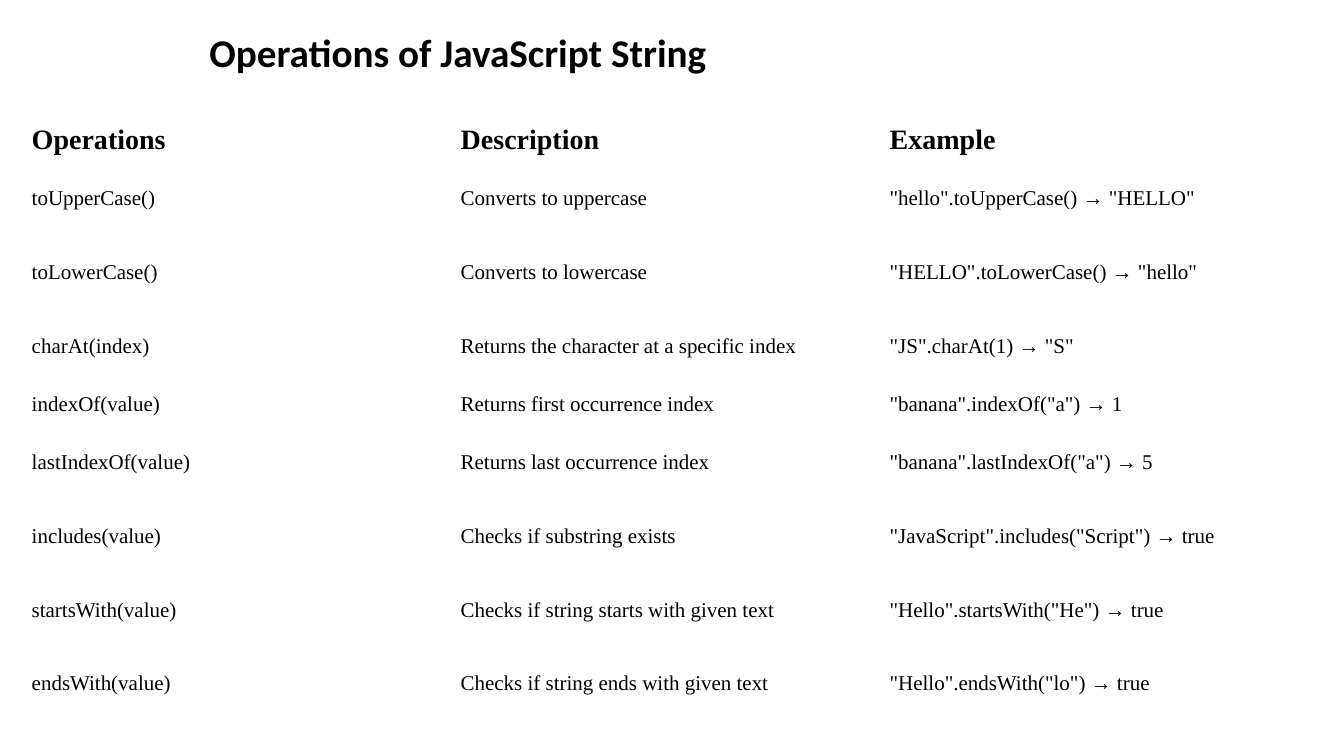
from pptx import Presentation
from pptx.dml.color import RGBColor
from pptx.enum import text
from pptx.util import Cm, Pt

TITLE = "Operations of JavaScript String"
HEADER = ("Operations", "Description", "Example")
OPERATIONS = [
    ("toUpperCase()", "Converts to uppercase", '"hello".toUpperCase() → "HELLO"'),
    ("toLowerCase()", "Converts to lowercase", '"HELLO".toLowerCase() → "hello"'),
    ("charAt(index)", "Returns the character at a specific index", '"JS".charAt(1) → "S"'),
    ("indexOf(value)", "Returns first occurrence index", '"banana".indexOf("a") → 1'),
    ("lastIndexOf(value)", "Returns last occurrence index", '"banana".lastIndexOf("a") → 5'),
    ("includes(value)", "Checks if substring exists", '"JavaScript".includes("Script") → true'),
    ("startsWith(value)", "Checks if string starts with given text", '"Hello".startsWith("He") → true'),
    ("endsWith(value)", "Checks if string ends with given text", '"Hello".endsWith("lo") → true'),
]
COLORS = {"text": "000000"}
COLUMN_WIDTH = 10.81
SHORT_ROW, TALL_ROW = 1.07, 1.86
SHORT_ROWS = {"Operations", "indexOf(value)"}


def write(frame, content, font="Times New Roman", size=15, bold=False):
    run = frame.paragraphs[0].add_run()
    run.text = content
    run.font.name = font
    run.font.size = Pt(size)
    run.font.bold = bold
    run.font.color.rgb = RGBColor.from_string(COLORS["text"])


def add_title(slide):
    box = slide.shapes.add_textbox(Cm(5.03), Cm(0.58), Cm(16.94), Cm(2.24))
    box.text_frame.word_wrap = True
    write(box.text_frame, TITLE, font="Calibri", size=28, bold=True)


def add_operations_table(slide):
    rows = [HEADER] + OPERATIONS
    heights = [SHORT_ROW if row[0] in SHORT_ROWS else TALL_ROW for row in rows]
    table = slide.shapes.add_table(
        len(rows), len(HEADER), Cm(0.61), Cm(3),
        Cm(COLUMN_WIDTH * len(HEADER)), Cm(sum(heights))).table
    table.first_row = table.horz_banding = False
    for column in table.columns:
        column.width = Cm(COLUMN_WIDTH)
    for row_index, (row, height) in enumerate(zip(rows, heights)):
        table.rows[row_index].height = Cm(height)
        is_header = row is HEADER
        for column_index, content in enumerate(row):
            cell = table.cell(row_index, column_index)
            cell.fill.background()
            cell.vertical_anchor = text.MSO_ANCHOR.MIDDLE
            cell.margin_left = cell.margin_right = Cm(0.19)
            cell.margin_top = cell.margin_bottom = Cm(0.1)
            write(cell.text_frame, content, size=20 if is_header else 15, bold=is_header)


def main():
    presentation = Presentation()
    presentation.slide_width, presentation.slide_height = Cm(33.87), Cm(19.05)
    slide = presentation.slides.add_slide(presentation.slide_layouts[6])
    add_operations_table(slide)
    add_title(slide)
    presentation.save("out.pptx")


if __name__ == "__main__":
    main()
